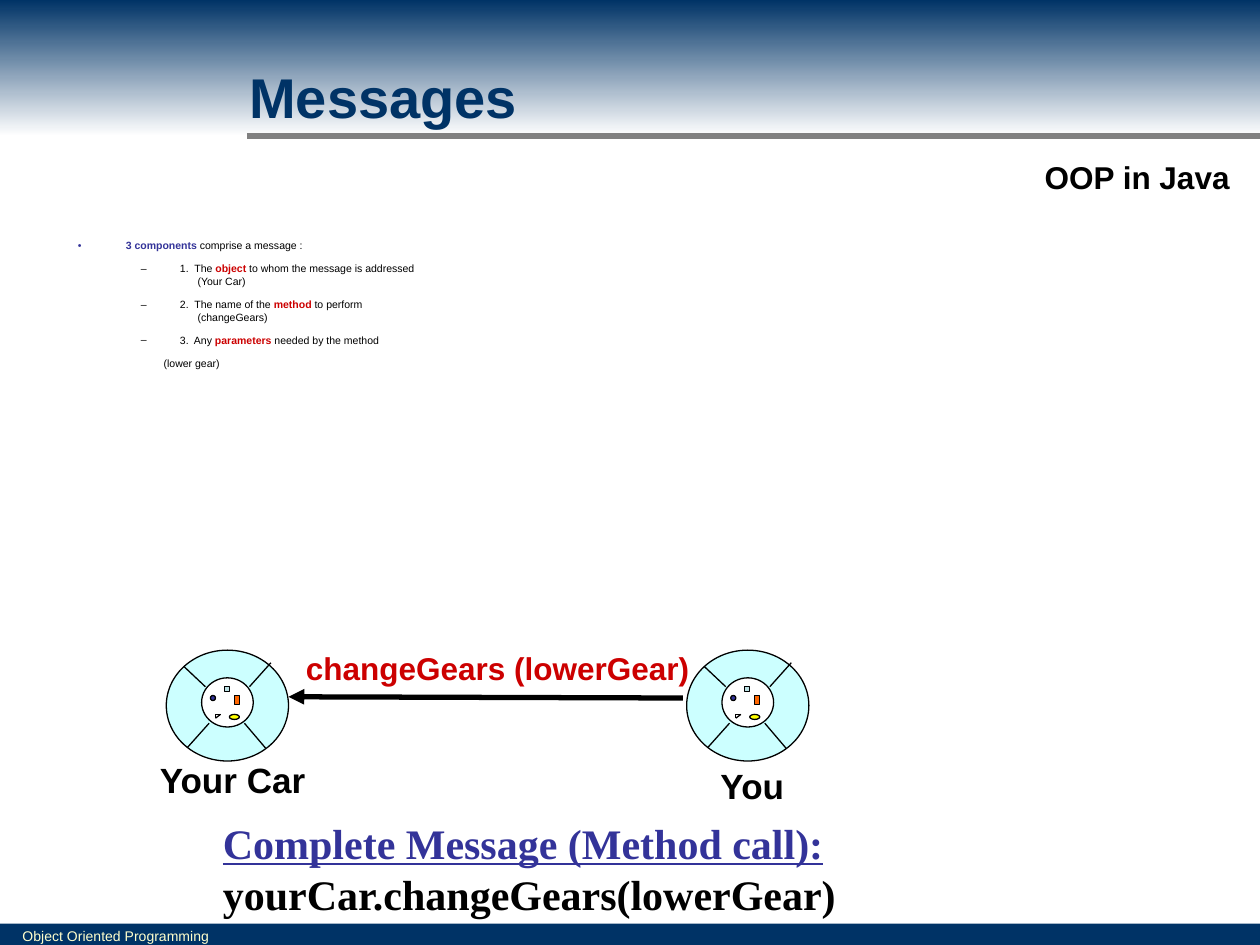
"""Build the Messages slide with two objects exchanging a method call."""
from lxml import etree
from pptx import Presentation
from pptx import util as u
from pptx.dml.color import RGBColor
from pptx.enum import shapes, text
from pptx.oxml.ns import qn

Inches, Pt = u.Inches, u.Pt
COLORS = {"navy": "003366", "white": "FFFFFF", "cream": "FFFFCC", "gray": "808080",
          "black": "000000", "red": "CC0000", "indigo": "333399", "cyan": "CCFFFF",
          "pale": "BBE0E3", "orange": "FF6600", "yellow": "FFFF00"}
RGB = {name: RGBColor.from_string(value) for name, value in COLORS.items()}
RECT, OVAL = shapes.MSO_SHAPE.RECTANGLE, shapes.MSO_SHAPE.OVAL

presentation = Presentation()
presentation.slide_width, presentation.slide_height = Inches(10), Inches(7.5)
slide = presentation.slides.add_slide(presentation.slide_layouts[6])


def add_line(parent, start, end, color="black", width=0.75):
    points = [Inches(value) for value in (*start, *end)]
    connector = parent.add_connector(shapes.MSO_CONNECTOR.STRAIGHT, *points)
    connector.line.color.rgb = RGB[color]
    connector.line.width = Pt(width)
    etree.SubElement(connector._element.spPr, qn("a:effectLst"))
    return connector


def add_runs(paragraph, runs, size, font="Arial"):
    for content, color, bold in runs:
        run = paragraph.add_run()
        run.text = content
        run.font.name, run.font.size, run.font.bold = font, Pt(size), bold
        run.font.color.rgb = RGB[color]


for top, height in ((7.33, 0.17), (0, 1.08)):
    band = slide.shapes.add_shape(RECT, 0, Inches(top), Inches(10), Inches(height))
    band.shadow.inherit = False
    band.line.fill.background()
    if top:
        band.fill.solid()
        band.fill.fore_color.rgb = RGB["navy"]
    else:
        band.fill.gradient()
        band.fill.gradient_angle = 270
        for stop, color, position in zip(band.fill.gradient_stops, ("navy", "white"), (0, 1)):
            stop.color.rgb = RGB[color]
            stop.position = position
add_line(slide.shapes, (1.96, 1.08), (10, 1.08), "gray", 3)

icon_parts = [
    (OVAL, 0, 0, 0.97, 0.88, "cyan"),
    (OVAL, 0.28, 0.22, 0.41, 0.39, "white"),
    (RECT, 0.46, 0.29, 0.04, 0.04, "pale"),
    (OVAL, 0.35, 0.36, 0.04, 0.04, "indigo"),
    (RECT, 0.54, 0.36, 0.04, 0.07, "orange"),
    (OVAL, 0.5, 0.51, 0.08, 0.04, "yellow"),
]
icon_lines = [
    ((0.31, 0.29), (0.14, 0.13)), ((0.66, 0.29), (0.83, 0.1)),
    ((0.62, 0.58), (0.79, 0.78)), ((0.34, 0.58), (0.17, 0.77)),
    ((0.39, 0.51), (0.43, 0.51)), ((0.43, 0.51), (0.39, 0.54)),
    ((0.39, 0.54), (0.39, 0.51)),
]
icon_top = 5.16
for icon_left in (1.32, 5.45):
    icon = slide.shapes.add_group_shape()
    for kind, left, top, width, height, color in icon_parts:
        shape = icon.shapes.add_shape(kind, Inches(icon_left + left), Inches(icon_top + top),
                                      Inches(width), Inches(height))
        shape.shadow.inherit = False
        shape.fill.solid()
        shape.fill.fore_color.rgb = RGB[color]
        shape.line.color.rgb = RGB["black"]
        shape.line.width = Pt(0.75)
    for ends in icon_lines:
        add_line(icon.shapes, *[(icon_left + x, icon_top + y) for x, y in ends])

arrow = add_line(slide.shapes, (5.42, 5.54), (2.29, 5.53), width=3)
etree.SubElement(arrow.line._get_or_add_ln(), qn("a:tailEnd"), type="triangle")

labels = [
    ("Object Oriented Programming", 0.08, 7.31, 2.12, 0.24, 8, "cream", False),
    ("OOP in Java", 8.18, 1.21, 1.69, 0.38, 18, "black", True),
    ("Messages", 1.88, 0.45, 2.45, 0.64, 32, "navy", True),
    ("Your Car", 1.17, 5.97, 1.58, 0.44, 20, "black", True),
    ("You", 5.62, 6.02, 0.76, 0.44, 20, "black", True),
    ("changeGears (lowerGear)", 2.33, 5.1, 3.81, 0.4, 18, "red", True),
]
for content, left, top, width, height, size, color, bold in labels:
    label = slide.shapes.add_textbox(Inches(left), Inches(top), Inches(width), Inches(height))
    label.text_frame.word_wrap = True
    paragraph = label.text_frame.paragraphs[0]
    add_runs(paragraph, [(content, color, bold)], size)
    if content == "OOP in Java":
        label.text_frame.vertical_anchor = text.MSO_ANCHOR.MIDDLE
        paragraph.alignment = text.PP_ALIGN.CENTER

components = [
    ("•", 0.38, -0.38, 6, [("3 components", "indigo", True),
                           (" comprise a message :", "black", False)]),
    ("–", 0.81, -0.31, 6, [("1.  The ", "black", False), ("object", "red", True),
                           (" to whom the message is addressed", "black", False)]),
    (None, 0.95, 0, 0, [("(Your Car)", "black", False)]),
    ("–", 0.81, -0.31, 6, [("2.  The name of the ", "black", False), ("method ", "red", True),
                           ("to perform", "black", False)]),
    (None, 0.95, 0, 0, [("(changeGears)", "black", False)]),
    ("–", 0.81, -0.31, 6, [("3.  Any ", "black", False), ("parameters", "red", True),
                           (" needed by the method", "black", False)]),
    (None, 0.68, 0, 6, [("(lower gear)", "black", False)]),
]
body = slide.shapes.add_textbox(Inches(0.52), Inches(1.85), Inches(9.08), Inches(1.17))
body.text_frame.word_wrap = True
for index, (bullet, margin, indent, space, runs) in enumerate(components):
    paragraph = body.text_frame.add_paragraph() if index else body.text_frame.paragraphs[0]
    paragraph.space_before = Pt(space)
    properties = paragraph._p.get_or_add_pPr()
    properties.set("marL", str(Inches(margin)))
    properties.set("indent", str(Inches(indent)))
    if bullet:
        bullet_color = etree.SubElement(properties, qn("a:buClr"))
        etree.SubElement(bullet_color, qn("a:srgbClr"),
                         val=COLORS["black" if bullet == "–" else "indigo"])
        etree.SubElement(properties, qn("a:buFont"), typeface="Arial")
        etree.SubElement(properties, qn("a:buChar"), char=bullet)
    add_runs(paragraph, runs, 6)

call = slide.shapes.add_textbox(Inches(1.67), Inches(6.44), Inches(6.29), Inches(0.9))
call.text_frame.word_wrap = True
call_paragraph = call.text_frame.paragraphs[0]
add_runs(call_paragraph, [("Complete Message (Method call): ", "indigo", True),
                          ("yourCar.changeGears(lowerGear)", "black", True)],
         24, "Times New Roman")
call_paragraph.runs[0].font.underline = True

presentation.save("out.pptx")
